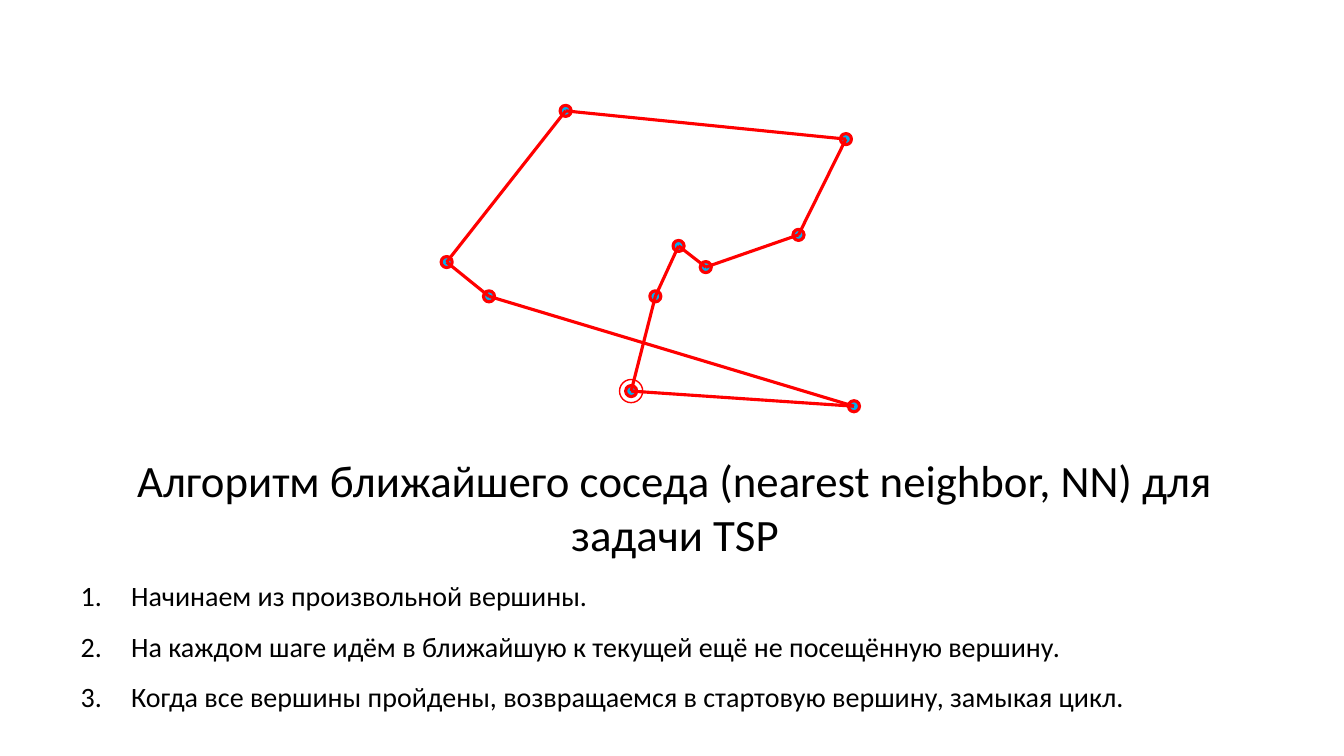
from pptx import Presentation
from pptx.dml.color import RGBColor as RGB
from pptx.enum.shapes import MSO_CONNECTOR as LINK, MSO_SHAPE as SHAPE
from pptx.enum.text import MSO_ANCHOR as ANCHOR, MSO_AUTO_SIZE as FIT, PP_ALIGN as ALIGN
from pptx.oxml.ns import qn
from pptx.util import Inches, Pt
from lxml.etree import SubElement

HUES = {"tour": "FF0000", "node": "00B0F0", "text": "000000"}
DOT, RING = 0.11, 0.23

# Centres of the vertices, in the order of the tour
TOUR = [(6.26, 3.88), (6.5, 2.94), (6.73, 2.44), (7, 2.65), (7.92, 2.33),
        (8.39, 1.38), (5.61, 1.1), (4.43, 2.6), (4.85, 2.94), (8.47, 4.03)]
TITLE = "Алгоритм ближайшего соседа (nearest neighbor, NN) для задачи TSP"
STEPS = ["Начинаем из произвольной вершины.",
         "На каждом шаге идём в ближайшую к текущей ещё не посещённую вершину.",
         "Когда все вершины пройдены, возвращаемся в стартовую вершину, замыкая цикл."]

deck = Presentation()
deck.slide_width, deck.slide_height = Inches(13.33), Inches(7.5)
slide = deck.slides.add_slide(deck.slide_layouts[1])
shapes = slide.shapes


def fill_text(box, top, high, lines, size):
    """Place a placeholder and set its paragraphs."""
    box.left, box.top = Inches(0.7), Inches(top)
    box.width, box.height = Inches(11.99), Inches(high)
    frame = box.text_frame
    frame.text = "\n".join(lines)
    frame.word_wrap, frame.auto_size = True, FIT.NONE
    frame.vertical_anchor = ANCHOR.TOP
    for para in frame.paragraphs:
        para.space_before = Pt(12)
        para.font.name, para.font.size = "Calibri", Pt(size)
        para.font.color.rgb = RGB.from_string(HUES["text"])
    return frame.paragraphs


def add_ring(x, y, size, width):
    """Draw a red-edged circle around a centre."""
    ring = shapes.add_shape(SHAPE.OVAL, Inches(x - size / 2), Inches(y - size / 2),
                            Inches(size), Inches(size))
    ring.shadow.inherit = False
    ring.fill.background()
    ring.line.color.rgb = RGB.from_string(HUES["tour"])
    ring.line.width = Pt(width)
    return ring


# Title and numbered steps
fill_text(shapes.title, 4.44, 1.18, [TITLE], 32)[0].alignment = ALIGN.CENTER
for para in fill_text(slide.placeholders[1], 5.69, 1.44, STEPS, 20):
    props = para._p.get_or_add_pPr()
    props.set("marL", str(Inches(0.5)))
    props.set("indent", str(Inches(-0.5)))
    num = SubElement(props, qn("a:buAutoNum"), type="arabicPeriod")
    props.find(qn("a:defRPr")).addprevious(num)

# Vertices, then the closed tour over them
for x, y in TOUR:
    dot = add_ring(x, y, DOT, 2.25)
    dot.fill.solid()
    dot.fill.fore_color.rgb = RGB.from_string(HUES["node"])

for start, end in zip(TOUR, TOUR[1:] + TOUR[:1]):
    edge = shapes.add_connector(LINK.STRAIGHT, *map(Inches, start + end))
    edge.line.color.rgb = RGB.from_string(HUES["tour"])
    edge.line.width = Pt(2.25)
    SubElement(edge._element.spPr, qn("a:effectLst"))

# Mark of the starting vertex
add_ring(*TOUR[0], RING, 1)

deck.save("out.pptx")
